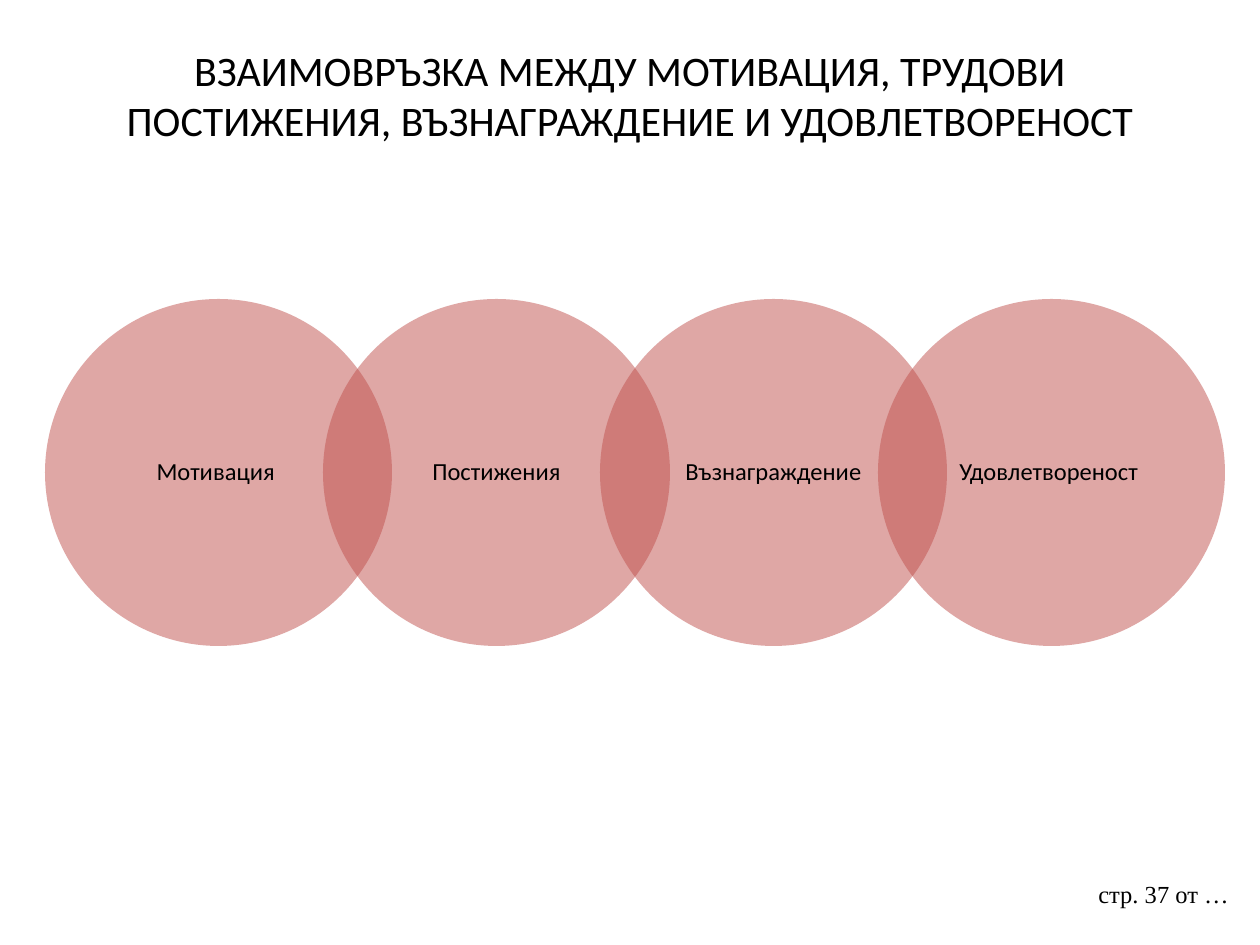
from dataclasses import dataclass

from lxml.etree import SubElement
from pptx import Presentation
from pptx.dml.color import RGBColor
from pptx.enum.shapes import MSO_SHAPE
from pptx.enum.text import MSO_ANCHOR, MSO_AUTO_SIZE, PP_ALIGN
from pptx.oxml.ns import qn
from pptx.util import Emu, Pt

PX_PER_INCH = 126
DIAMETER = 347
FIRST_LEFT = 45
CIRCLE_TOP = 299


@dataclass
class Circle:
    label: str
    left: int


def px(n: int) -> Emu:
    return Emu(round(n * 914400 / PX_PER_INCH))


def rgb(value: str) -> RGBColor:
    return RGBColor.from_string(value)


def set_font(p, size: int, name: str = "Calibri") -> None:
    p.font.size = Pt(size)
    p.font.name = name
    p.font.color.rgb = rgb("000000")


def add_title(slide, text: str) -> None:
    s = slide.shapes.title
    s.left, s.top, s.width, s.height = px(63), px(38), px(1134), px(158)
    tf = s.text_frame
    tf.text = text
    tf.auto_size = MSO_AUTO_SIZE.NONE
    tf.vertical_anchor = MSO_ANCHOR.TOP
    p = tf.paragraphs[0]
    p.alignment = PP_ALIGN.CENTER
    set_font(p, 24)


def add_circle(slide, circle: Circle) -> None:
    s = slide.shapes.add_shape(
        MSO_SHAPE.OVAL, px(circle.left), px(CIRCLE_TOP), px(DIAMETER), px(DIAMETER)
    )
    s.shadow.inherit = False
    s.line.fill.background()
    s.fill.solid()
    s.fill.fore_color.rgb = rgb("C0504D")
    color = s.fill._xPr.find(qn("a:solidFill")).find(qn("a:srgbClr"))
    SubElement(color, qn("a:alpha"), val="50000")
    tf = s.text_frame
    tf.word_wrap = True
    tf.vertical_anchor = MSO_ANCHOR.MIDDLE
    tf.margin_left = tf.margin_right = px(19)
    tf.margin_top = tf.margin_bottom = px(2)
    p = tf.paragraphs[0]
    p.text = circle.label
    p.alignment = PP_ALIGN.CENTER
    p.line_spacing = 0.9
    set_font(p, 14)


def add_page_label(slide, text: str) -> None:
    s = slide.shapes.add_textbox(px(1086), px(873), px(164), px(66))
    tf = s.text_frame
    tf.word_wrap = True
    p = tf.paragraphs[0]
    p.text = text
    set_font(p, 14, "Times New Roman")


def main() -> None:
    prs = Presentation()
    prs.slide_width, prs.slide_height = px(1260), px(945)
    slide = prs.slides.add_slide(prs.slide_layouts[5])
    add_page_label(slide, "стр. 37 от …")
    add_title(
        slide,
        "ВЗАИМОВРЪЗКА МЕЖДУ МОТИВАЦИЯ, ТРУДОВИ ПОСТИЖЕНИЯ, "
        "ВЪЗНАГРАЖДЕНИЕ И УДОВЛЕТВОРЕНОСТ",
    )
    labels = ("Мотивация ", "Постижения", "Възнаграждение", "Удовлетвореност ")
    for i, label in enumerate(labels):
        add_circle(slide, Circle(label, FIRST_LEFT + round(i * DIAMETER * 0.8)))
    prs.save("out.pptx")


if __name__ == "__main__":
    main()
